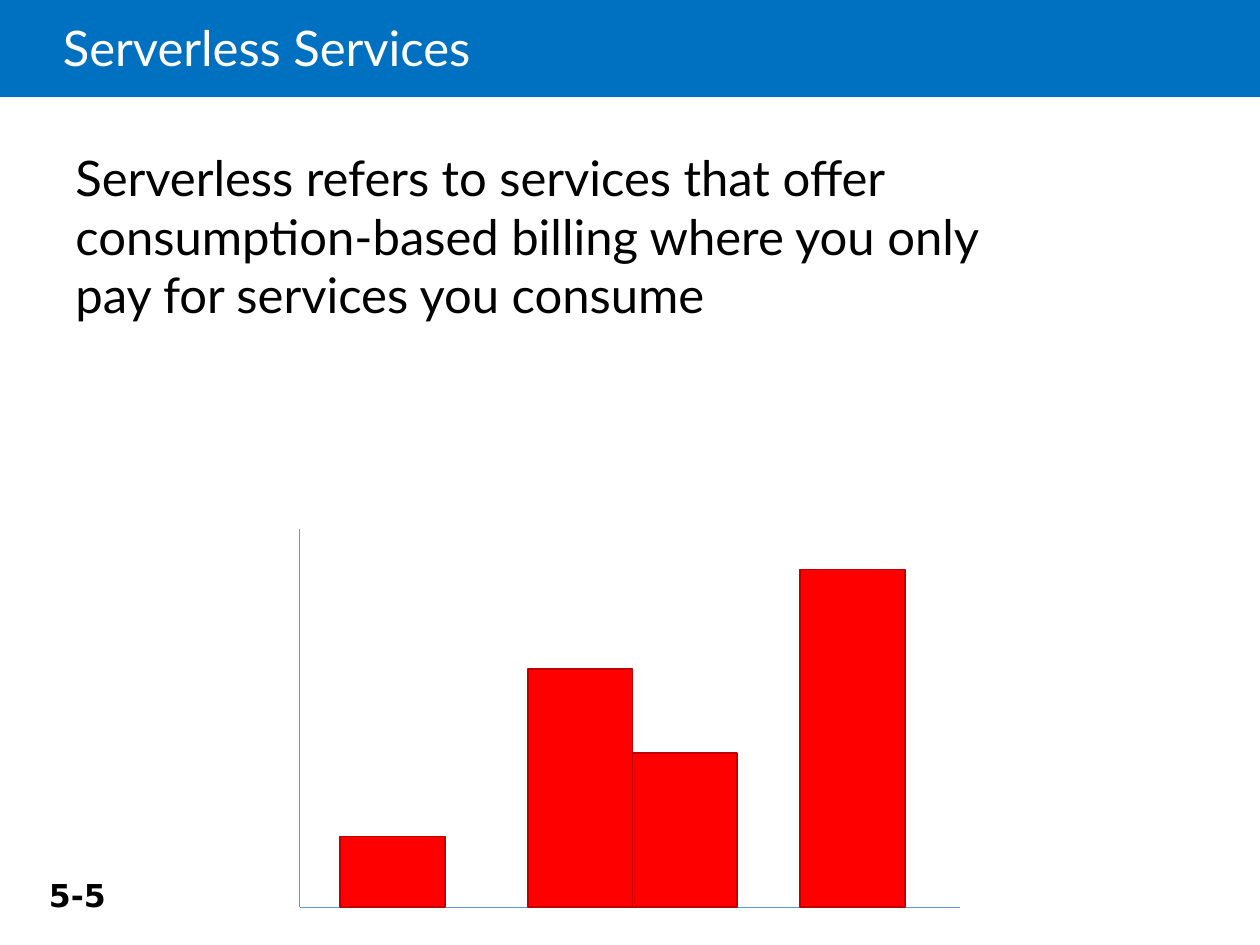
import pptx
import pptx.dml.color
import pptx.enum.shapes
import pptx.enum.text
import pptx.oxml.ns
import pptx.util
from lxml import etree

Pt = pptx.util.Pt
ANCHOR = pptx.enum.text.MSO_ANCHOR
RECTANGLE = pptx.enum.shapes.MSO_SHAPE.RECTANGLE
STRAIGHT = pptx.enum.shapes.MSO_CONNECTOR.STRAIGHT

TITLE = "Serverless Services"
DEFINITION = ("Serverless refers to services that offer consumption-based billing "
              "where you only \vpay for services you consume")
PAGE = "5-5"
USAGE_BARS = [(194.4, 40.3), (301.7, 136.1), (361.4, 88), (457.2, 193)]  # left, height

COLORS = {"banner": "0070C0", "white": "FFFFFF", "black": "000000",
          "axis": "5B9BD5", "bar": "FF0000", "bar_edge": "C00000"}
SLIDE_W, SLIDE_H = 720, 540
BAR_W = 59.8
AXIS_LEFT, AXIS_RIGHT = 171.4, 548.6
AXIS_TOP, BASELINE = 302.4, 518.4


def rgb(name):
    return pptx.dml.color.RGBColor.from_string(COLORS[name])


def add_rectangle(shapes, left, top, width, height, fill, edge=None):
    rectangle = shapes.add_shape(RECTANGLE, Pt(left), Pt(top), Pt(width), Pt(height))
    rectangle.shadow.inherit = False
    rectangle.fill.solid()
    rectangle.fill.fore_color.rgb = rgb(fill)
    if edge:
        rectangle.line.color.rgb = rgb(edge)
        rectangle.line.width = Pt(1)
    else:
        rectangle.line.fill.background()


def add_axis(shapes, x1, y1, x2, y2):
    axis = shapes.add_connector(STRAIGHT, Pt(x1), Pt(y1), Pt(x2), Pt(y2))
    axis.line.color.rgb = rgb("axis")
    axis.line.width = Pt(0.5)
    etree.SubElement(axis._element.spPr, pptx.oxml.ns.qn("a:effectLst"))


def add_text(shapes, text, left, top, width, height, size, color, font="Lato",
             bold=False, wrap=True, anchor=ANCHOR.TOP):
    frame = shapes.add_textbox(Pt(left), Pt(top), Pt(width), Pt(height)).text_frame
    frame.word_wrap = wrap
    frame.vertical_anchor = anchor
    frame.text = text
    paragraph = frame.paragraphs[0]
    paragraph.font.name = font
    paragraph.font.size = Pt(size)
    paragraph.font.bold = bold
    paragraph.font.color.rgb = rgb(color)
    return frame


def main():
    deck = pptx.Presentation()
    deck.slide_width, deck.slide_height = Pt(SLIDE_W), Pt(SLIDE_H)
    shapes = deck.slides.add_slide(deck.slide_layouts[6]).shapes

    add_rectangle(shapes, 0, 0, SLIDE_W, 55.4, "banner")
    title = add_text(shapes, TITLE, 36, 0, 612, 58.3, 28, "white", anchor=ANCHOR.MIDDLE)
    title.margin_left = 0
    title.paragraphs[0].line_spacing = 0.85
    add_text(shapes, DEFINITION, 36, 80.6, 639.4, 405.4, 28, "black")

    usage_graph = shapes.add_group_shape().shapes
    add_axis(usage_graph, AXIS_LEFT, AXIS_TOP, AXIS_LEFT, BASELINE)
    add_axis(usage_graph, AXIS_LEFT, BASELINE, AXIS_RIGHT, BASELINE)
    for left, height in USAGE_BARS:
        add_rectangle(usage_graph, left, BASELINE - height, BAR_W, height, "bar", "bar_edge")

    add_text(shapes, PAGE, 20.9, 496.8, 49, 28.8, 18, "black", "DejaVu Sans",
             bold=True, wrap=False)
    deck.save("out.pptx")


if __name__ == "__main__":
    main()
